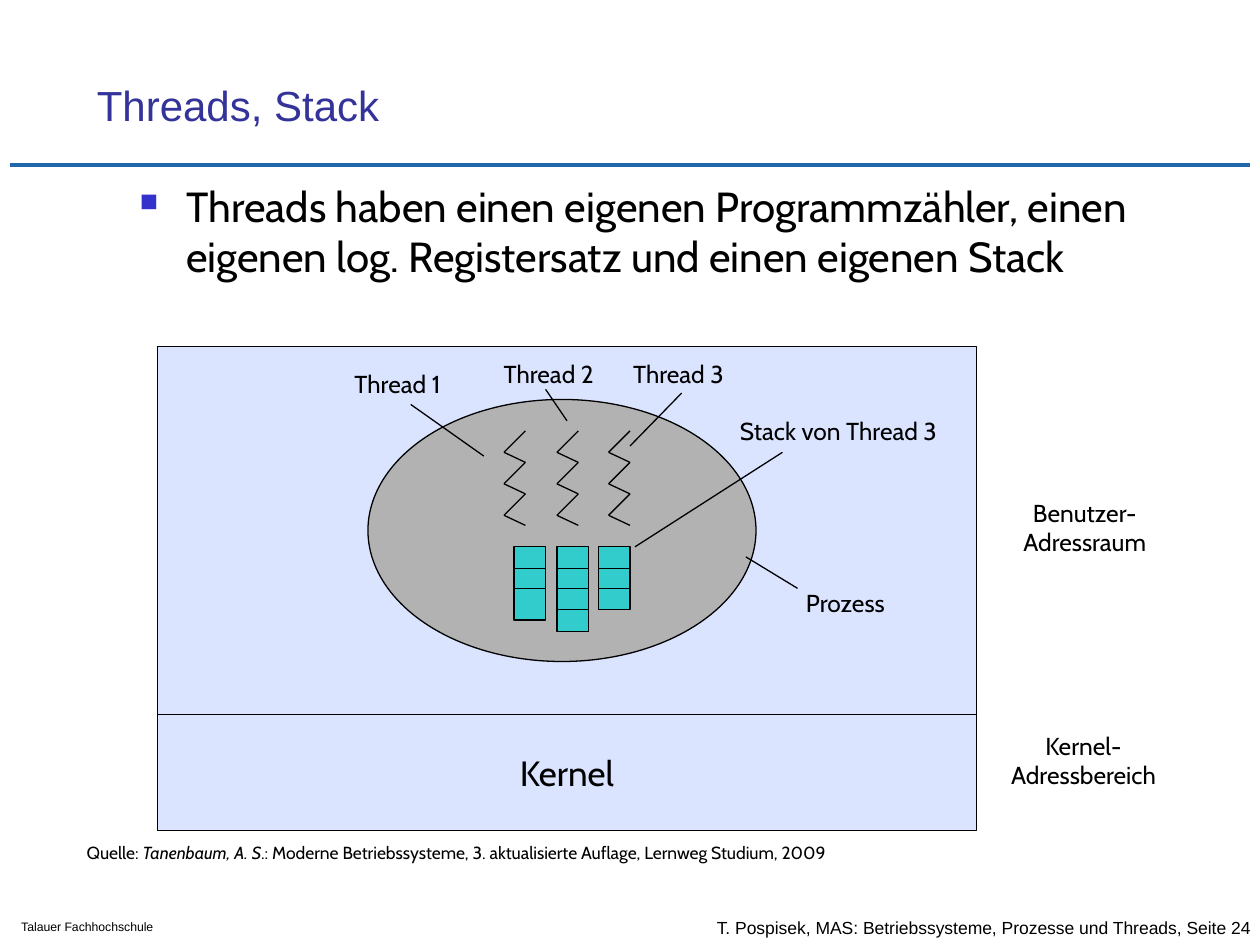
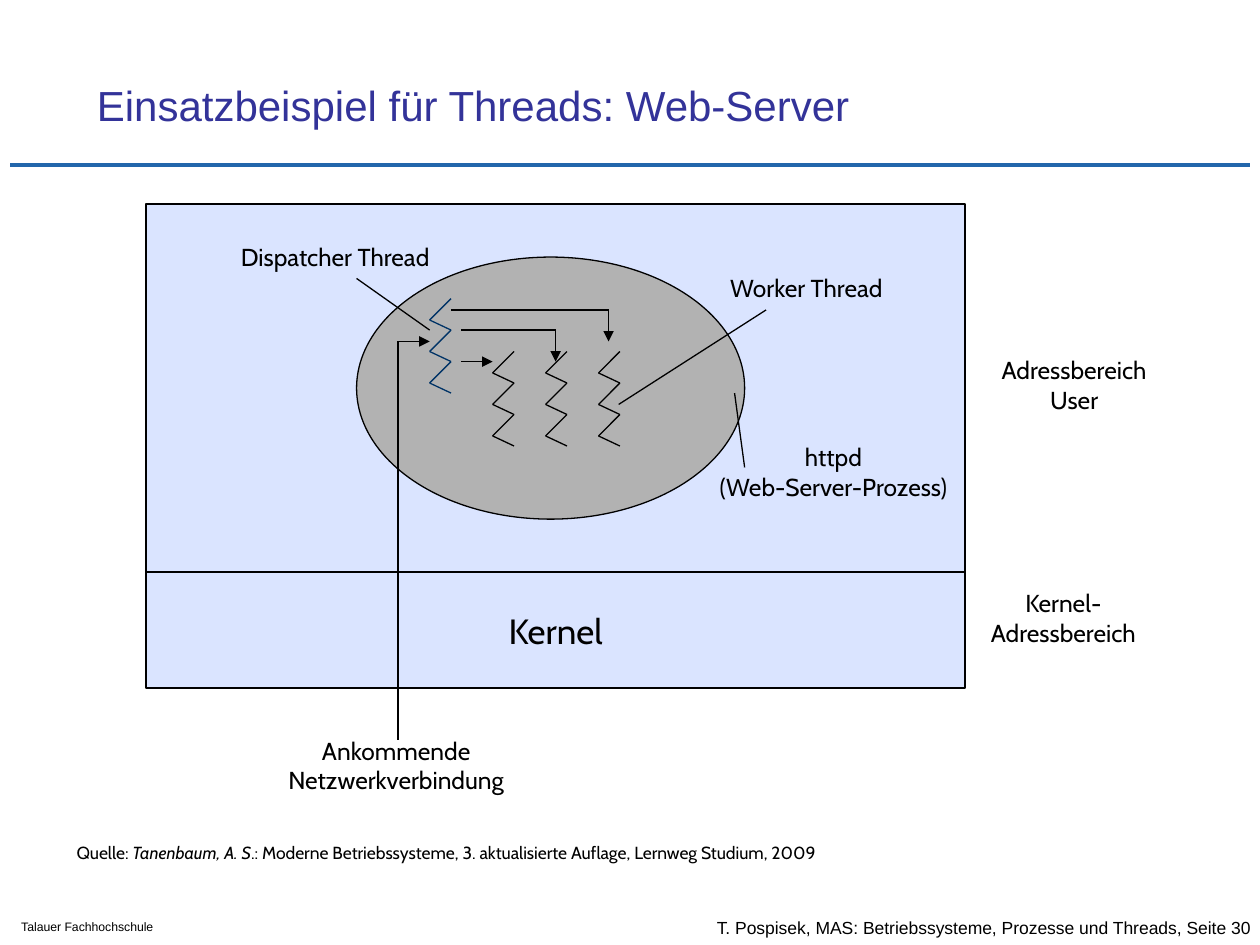
"""Build two slides on threads: their stacks and their use in a web server."""
import pptx
import pptx.dml.color
import pptx.enum.shapes
import pptx.enum.text
import pptx.oxml
import pptx.oxml.ns
import pptx.util
from lxml import etree

RGBColor = pptx.dml.color.RGBColor
BLACK = RGBColor(0x00, 0x00, 0x00)
TITLE_BLUE = RGBColor(0x33, 0x33, 0x99)
RULE_BLUE = RGBColor(0x22, 0x66, 0xAB)
BULLET_BLUE = RGBColor(0x33, 0x33, 0xCC)
DISPATCHER_BLUE = RGBColor(0x00, 0x33, 0x66)
SPACE_BLUE = RGBColor(0xDA, 0xE4, 0xFF)
PROCESS_GREY = RGBColor(0xB2, 0xB2, 0xB2)
STACK_TEAL = RGBColor(0x33, 0xCC, 0xCC)

PX = 9144
RECT = pptx.enum.shapes.MSO_SHAPE.RECTANGLE
OVAL = pptx.enum.shapes.MSO_SHAPE.OVAL
STRAIGHT = pptx.enum.shapes.MSO_CONNECTOR.STRAIGHT
LEFT = pptx.enum.text.PP_ALIGN.LEFT
CENTER = pptx.enum.text.PP_ALIGN.CENTER
TOP = pptx.enum.text.MSO_ANCHOR.TOP
MIDDLE = pptx.enum.text.MSO_ANCHOR.MIDDLE
BOTTOM = pptx.enum.text.MSO_ANCHOR.BOTTOM


def write(shape, text, size, font="Cabin", color=BLACK, align=LEFT, anchor=TOP, wrap=False):
    frame = shape.text_frame
    frame.text = text
    frame.word_wrap = wrap
    frame.vertical_anchor = anchor
    for paragraph in frame.paragraphs:
        paragraph.alignment = align
        for run in paragraph.runs:
            run.font.size = pptx.util.Pt(size)
            run.font.name = font
            run.font.color.rgb = color
    return frame.paragraphs[0]


def draw_line(slide, ends, color=BLACK, width=0.75, arrow=False):
    line = slide.shapes.add_connector(STRAIGHT, *[end * PX for end in ends])
    line.line.color.rgb = color
    line.line.width = pptx.util.Pt(width)
    if arrow:
        etree.SubElement(line.line._get_or_add_ln(), pptx.oxml.ns.qn("a:tailEnd"), type="triangle")
    etree.SubElement(line._element.spPr, pptx.oxml.ns.qn("a:effectLst"))


stack_cells = [
    (RECT, x, 434 + 17 * row - row // 2, 25, height, STACK_TEAL)
    for x, heights in [(408, (17, 17, 25)), (442, (17,) * 4), (475, (17,) * 3)]
    for row, height in enumerate(heights)
]

topics = [
    {
        "title": "Threads, Stack",
        "page": 24,
        "origin": (125, 275),
        "cells": stack_cells,
        "threads": [(x, 342, BLACK) for x in (400, 442, 483)],
        "pointers": [
            (633, 467, 592, 442),
            (621, 359, 504, 434),
            (384, 362, 326, 321),
            (450, 334, 433, 309),
            (500, 354, 541, 312),
        ],
        "arrows": [],
        "labels": [
            ("Kernel-\nAdressbereich", 785, 575, 150, 57),
            ("Benutzer-\nAdressraum", 796, 390, 130, 57),
            ("Prozess", 626, 462, 90, 33),
            ("Stack von Thread 3", 569, 325, 193, 33),
            ("Thread 1", 265, 288, 101, 33),
            ("Thread 2", 385, 280, 101, 33),
            ("Thread 3", 488, 280, 101, 33),
        ],
        "source_left": 59,
    },
    {
        "title": "Einsatzbeispiel für Threads: Web-Server",
        "page": 30,
        "origin": (116, 162),
        "cells": [],
        "threads": [(x, 279, BLACK) for x in (391, 433, 475)] + [(341, 237, DISPATCHER_BLUE)],
        "pointers": [
            (316, 587, 316, 271),
            (591, 371, 583, 312),
            (366, 262, 441, 262),
            (358, 246, 483, 246),
            (608, 246, 491, 321),
            (341, 262, 283, 221),
        ],
        "arrows": [
            (316, 271, 341, 271),
            (366, 287, 391, 287),
            (483, 246, 483, 271),
            (441, 262, 441, 287),
        ],
        "labels": [
            ("Ankommende\nNetzwerkverbindung", 208, 579, 213, 57),
            ("Kernel-\nAdressbereich", 769, 462, 150, 57),
            ("Adressbereich\nUser", 775, 277, 155, 57),
            ("httpd\n(Web-Server-Prozess)", 555, 346, 213, 57),
            ("Worker Thread", 562, 212, 156, 33),
            ("Dispatcher Thread", 172, 187, 188, 33),
        ],
        "source_left": 51,
    },
]

prs = pptx.Presentation()
prs.slide_width, prs.slide_height = 1000 * PX, 750 * PX

for topic in topics:
    slide = prs.slides.add_slide(prs.slide_layouts[6])
    draw_line(slide, (8, 131, 992, 131), RULE_BLUE, 2.5)

    footer = slide.shapes.add_textbox(559 * PX, 720 * PX, 529 * PX, 33 * PX)
    write(footer, f"T. Pospisek, MAS: Betriebssysteme, Prozesse und Threads, Seite {topic['page']}",
          10, "Arial", anchor=MIDDLE, wrap=True)
    school = slide.shapes.add_textbox(7 * PX, 725 * PX, 172 * PX, 22 * PX)
    write(school, "Talauer Fachhochschule", 7, "Arial", wrap=True)
    title = slide.shapes.add_textbox(67 * PX, 33 * PX, 852 * PX, 75 * PX)
    write(title, topic["title"], 24, "Arial", TITLE_BLUE, anchor=BOTTOM, wrap=True)

    left, top = topic["origin"]
    areas = [
        (RECT, left, top, 650, 292, SPACE_BLUE),
        (OVAL, left + 167, top + 42, 308, 208, PROCESS_GREY),
        *topic["cells"],
        (RECT, left, top + 292, 650, 92, SPACE_BLUE),
    ]
    for outline, x, y, width, height, fill in areas:
        area = slide.shapes.add_shape(outline, x * PX, y * PX, width * PX, height * PX)
        area.shadow.inherit = False
        area.fill.solid()
        area.fill.fore_color.rgb = fill
        area.line.color.rgb = BLACK
        area.line.width = pptx.util.Pt(0.75)
    write(area, "Kernel", 20, align=CENTER, anchor=MIDDLE)

    for x, y, color in topic["threads"]:
        for start in (y, y + 25, y + 50):
            draw_line(slide, (x + 17, start, x, start + 17), color)
            draw_line(slide, (x, start + 17, x + 17, start + 25), color)
    for ends in topic["pointers"]:
        draw_line(slide, ends)
    for ends in topic["arrows"]:
        draw_line(slide, ends, arrow=True)

    for text, x, y, width, height in topic["labels"]:
        label = slide.shapes.add_textbox(x * PX, y * PX, width * PX, height * PX)
        write(label, text, 14, align=CENTER)

    source = slide.shapes.add_textbox(topic["source_left"] * PX, 663 * PX, 666 * PX, 27 * PX)
    citation = write(source, "Quelle: ", 10)
    for part, italic in [
        ("Tanenbaum, A. S", True),
        (".: Moderne Betriebssysteme, 3. aktualisierte Auflage, Lernweg Studium, 2009", False),
    ]:
        run = citation.add_run()
        run.text = part
        run.font.size = pptx.util.Pt(10)
        run.font.name = "Cabin"
        run.font.color.rgb = BLACK
        run.font.italic = italic

statement = prs.slides[0].shapes.add_textbox(100 * PX, 138 * PX, 853 * PX, 107 * PX)
bullet = write(statement, "Threads haben einen eigenen Programmzähler, einen eigenen log. "
               "Registersatz und einen eigenen Stack", 24, wrap=True)
bullet.space_before = pptx.util.Pt(4.8)
properties = bullet._p.get_or_add_pPr()
properties.set("marL", str(38 * PX))
properties.set("indent", str(-37 * PX))
bullet_color = etree.SubElement(properties, pptx.oxml.ns.qn("a:buClr"))
etree.SubElement(bullet_color, pptx.oxml.ns.qn("a:srgbClr"), val=str(BULLET_BLUE))
etree.SubElement(properties, pptx.oxml.ns.qn("a:buSzPct"), val="60000")
etree.SubElement(properties, pptx.oxml.ns.qn("a:buChar"), char="■")

prs.save("out.pptx")
